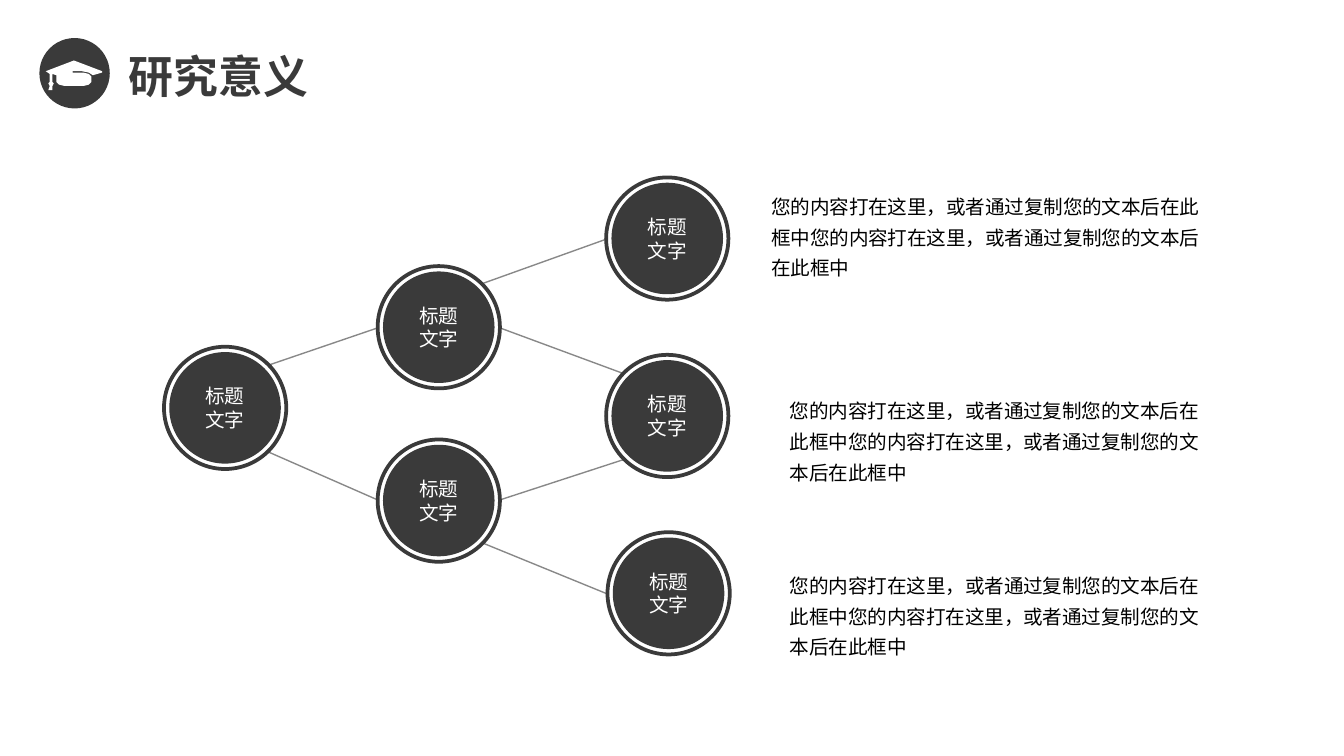
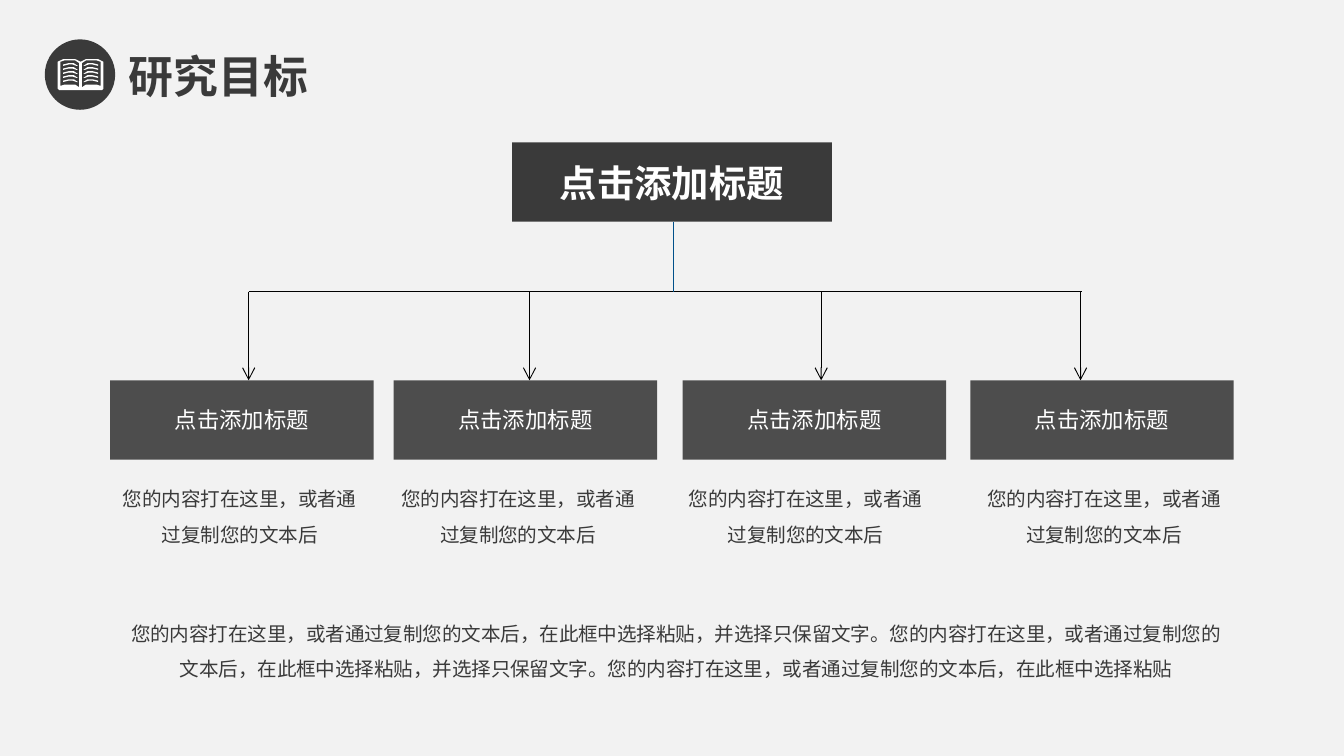
import lxml.etree
import pptx
import pptx.dml.color
import pptx.enum.shapes
import pptx.enum.text
import pptx.oxml.ns
import pptx.util

Inches = pptx.util.Inches
qn = pptx.oxml.ns.qn
OVAL = pptx.enum.shapes.MSO_SHAPE.OVAL
RECTANGLE = pptx.enum.shapes.MSO_SHAPE.RECTANGLE


class Theme:
    dark = "3A3A3A"
    box = "4D4D4D"
    white = "FFFFFF"
    gray = "F2F2F2"
    black = "000000"
    blue = "00508A"
    latin = "Arial"
    cjk = "Noto Sans CJK SC"
    title = 24
    heading = 20
    label = 12
    body = 10.5


def write(slide, text, box, shape=None, fill=None, line=None, line_width=1, size=Theme.body,
          color=Theme.dark, font=Theme.cjk, bold=False, align="LEFT", spacing=None):
    place = [Inches(length) for length in box]
    if shape is None:
        item = slide.shapes.add_textbox(*place)
    else:
        item = slide.shapes.add_shape(shape, *place)
        item.shadow.inherit = False
        if fill:
            item.fill.solid()
            item.fill.fore_color.rgb = pptx.dml.color.RGBColor.from_string(fill)
        else:
            item.fill.background()
        if line:
            item.line.color.rgb = pptx.dml.color.RGBColor.from_string(line)
            item.line.width = pptx.util.Pt(line_width)
        else:
            item.line.fill.background()
    if not text:
        return
    frame = item.text_frame
    frame.word_wrap = True
    if shape is None:
        frame.auto_size = pptx.enum.text.MSO_AUTO_SIZE.SHAPE_TO_FIT_TEXT
    else:
        frame.vertical_anchor = pptx.enum.text.MSO_ANCHOR.MIDDLE
    frame.text = text
    for paragraph in frame.paragraphs:
        paragraph.alignment = pptx.enum.text.PP_ALIGN[align]
        if spacing:
            paragraph.line_spacing = spacing
        for run in paragraph.runs:
            run.font.size = pptx.util.Pt(size)
            run.font.bold = bold
            run.font.color.rgb = pptx.dml.color.RGBColor.from_string(color)
            run.font.name = font
            east_asian = lxml.etree.SubElement(run.font._element, qn("a:ea"))
            east_asian.set("typeface", Theme.cjk)


def join(slide, start, end, color, width, opacity=None, arrow=False):
    link = slide.shapes.add_connector(
        pptx.enum.shapes.MSO_CONNECTOR.STRAIGHT, *[Inches(length) for length in start + end])
    link.line.color.rgb = pptx.dml.color.RGBColor.from_string(color)
    link.line.width = pptx.util.Pt(width)
    properties = link._element.spPr
    if opacity:
        tint = next(properties.iter(qn("a:srgbClr")))
        lxml.etree.SubElement(tint, qn("a:alpha")).set("val", str(opacity * 1000))
    if arrow:
        lxml.etree.SubElement(properties.find(qn("a:ln")), qn("a:tailEnd")).set("type", "arrow")
    lxml.etree.SubElement(properties, qn("a:effectLst"))


deck = pptx.Presentation()
deck.slide_width = Inches(10)
deck.slide_height = Inches(10) * 9 // 16

cap = [
    (0.34, 0.53), (0.55, 0.45), (0.76, 0.53), (0.76, 0.54), (0.69, 0.56), (0.66, 0.54),
    (0.61, 0.53), (0.54, 0.53), (0.54, 0.54), (0.62, 0.54), (0.66, 0.55), (0.68, 0.57),
    (0.68, 0.61), (0.66, 0.63), (0.62, 0.64), (0.55, 0.64), (0.48, 0.64), (0.44, 0.63),
    (0.42, 0.61), (0.42, 0.56), (0.39, 0.55), (0.39, 0.61), (0.4, 0.62), (0.39, 0.64),
    (0.39, 0.67), (0.36, 0.67), (0.37, 0.64), (0.36, 0.62), (0.37, 0.61), (0.37, 0.55),
]
cover = [
    (0.43, 0.46), (0.47, 0.44), (0.52, 0.44), (0.56, 0.44), (0.6, 0.46), (0.64, 0.44),
    (0.68, 0.44), (0.73, 0.44), (0.77, 0.46), (0.77, 0.66), (0.76, 0.67), (0.44, 0.67), (0.43, 0.66),
]
page = [
    (0.59, 0.47), (0.59, 0.65), (0.56, 0.63), (0.52, 0.63), (0.48, 0.63), (0.45, 0.64),
    (0.45, 0.46), (0.48, 0.45), (0.52, 0.45), (0.56, 0.45),
]
text_row = [(0.47, 0.48), (0.51, 0.47), (0.55, 0.47), (0.58, 0.49), (0.57, 0.49),
            (0.54, 0.48), (0.51, 0.48), (0.47, 0.49)]
facing_page = [(1.2 - x, y) for x, y in page]
facing_row = [(1.2 - x, y) for x, y in text_row]
book = [[cover, page, facing_page]]
for row in (text_row, facing_row):
    for step in range(5):
        book.append([[(x, y + 0.03 * step) for x, y in row]])

slides = []
for title, title_width, background, badge, icon in (
    ("研究意义", 1.88, Theme.white, (0.3, 0.29), [[cap]]),
    ("研究目标", 2.36, Theme.gray, (0.34, 0.3), book),
):
    slide = deck.slides.add_slide(deck.slide_layouts[6])
    slides.append(slide)
    slide.background.fill.solid()
    slide.background.fill.fore_color.rgb = pptx.dml.color.RGBColor.from_string(background)
    write(slide, "", (*badge, 0.51, 0.51), shape=OVAL, fill=Theme.dark, line=Theme.dark)
    for contours in icon:
        outline = None
        for contour in contours:
            points = [(Inches(x), Inches(y)) for x, y in contour]
            if outline is None:
                outline = slide.shapes.build_freeform(*points[0])
            else:
                outline.move_to(*points[0])
            outline.add_line_segments(points[1:], close=True)
        drawing = outline.convert_to_shape()
        drawing.shadow.inherit = False
        drawing.fill.solid()
        drawing.fill.fore_color.rgb = pptx.dml.color.RGBColor.from_string(Theme.white)
        drawing.line.fill.background()
    write(slide, title, (0.86, 0.31, title_width, 0.51), size=Theme.title, font=Theme.latin, bold=True)

significance, goals = slides

for left, top, caption in (
    (1.22, 2.58, "标题\n文字"),
    (2.81, 1.98, "标题文字"),
    (2.81, 3.27, "标题文字"),
    (4.51, 1.32, "标题文字"),
    (4.52, 3.96, "标题文字"),
    (4.51, 2.64, "标题文字"),
):
    write(significance, caption, (left + 0.04, top + 0.04, 0.83, 0.83), shape=OVAL, fill=Theme.dark,
          color=Theme.white, font=Theme.latin, align="CENTER")
    write(significance, "", (left, top, 0.91, 0.91), shape=OVAL, line=Theme.dark, line_width=2)

for start, end in (
    ((1.99, 2.72), (2.81, 2.44)),
    ((1.99, 3.36), (2.81, 3.72)),
    ((3.59, 4.04), (4.52, 4.42)),
    ((3.59, 2.11), (4.51, 1.78)),
    ((3.72, 2.44), (4.64, 2.78)),
    ((3.72, 3.72), (4.64, 3.42)),
):
    join(significance, start, end, Theme.dark, 0.75, opacity=60)

for left, top, width in ((5.64, 1.35, 3.46), (5.78, 2.87, 3.27), (5.78, 4.17, 3.27)):
    write(significance, "您的内容打在这里，或者通过复制您的文本后在此框中" * 2, (left, top, width, 0.79),
          color=Theme.black, spacing=1.3)

branch_top, goal_top = 2.17, 2.83
join(goals, (1.85, branch_top), (8.05, branch_top), Theme.black, 0.5)
join(goals, (5.01, 1.65), (5.01, branch_top), Theme.blue, 0.5)
write(goals, "点击添加标题", (3.81, 1.06, 2.38, 0.59), shape=RECTANGLE, fill=Theme.dark,
      size=Theme.heading, color=Theme.white, bold=True, align="CENTER")

for goal_left, arrow_x, detail_left in (
    (0.82, 1.85, 0.75), (2.93, 3.94, 2.82), (5.08, 6.11, 4.96), (7.22, 8.04, 7.18),
):
    join(goals, (arrow_x, branch_top), (arrow_x, goal_top), Theme.black, 0.5, arrow=True)
    write(goals, "点击添加标题", (goal_left, goal_top, 1.96, 0.59), shape=RECTANGLE, fill=Theme.box,
          size=Theme.label, color=Theme.white, align="CENTER")
    write(goals, "您的内容打在这里，或者通过复制您的文本后", (detail_left, 3.49, 2.07, 0.6),
          align="CENTER", spacing=1.5)

sentence = "您的内容打在这里，或者通过复制您的文本后，在此框中选择粘贴"
write(goals, f"{sentence}，并选择只保留文字。" * 2 + sentence, (0.82, 4.49, 8.43, 0.6),
      align="CENTER", spacing=1.5)

deck.save("out.pptx")
